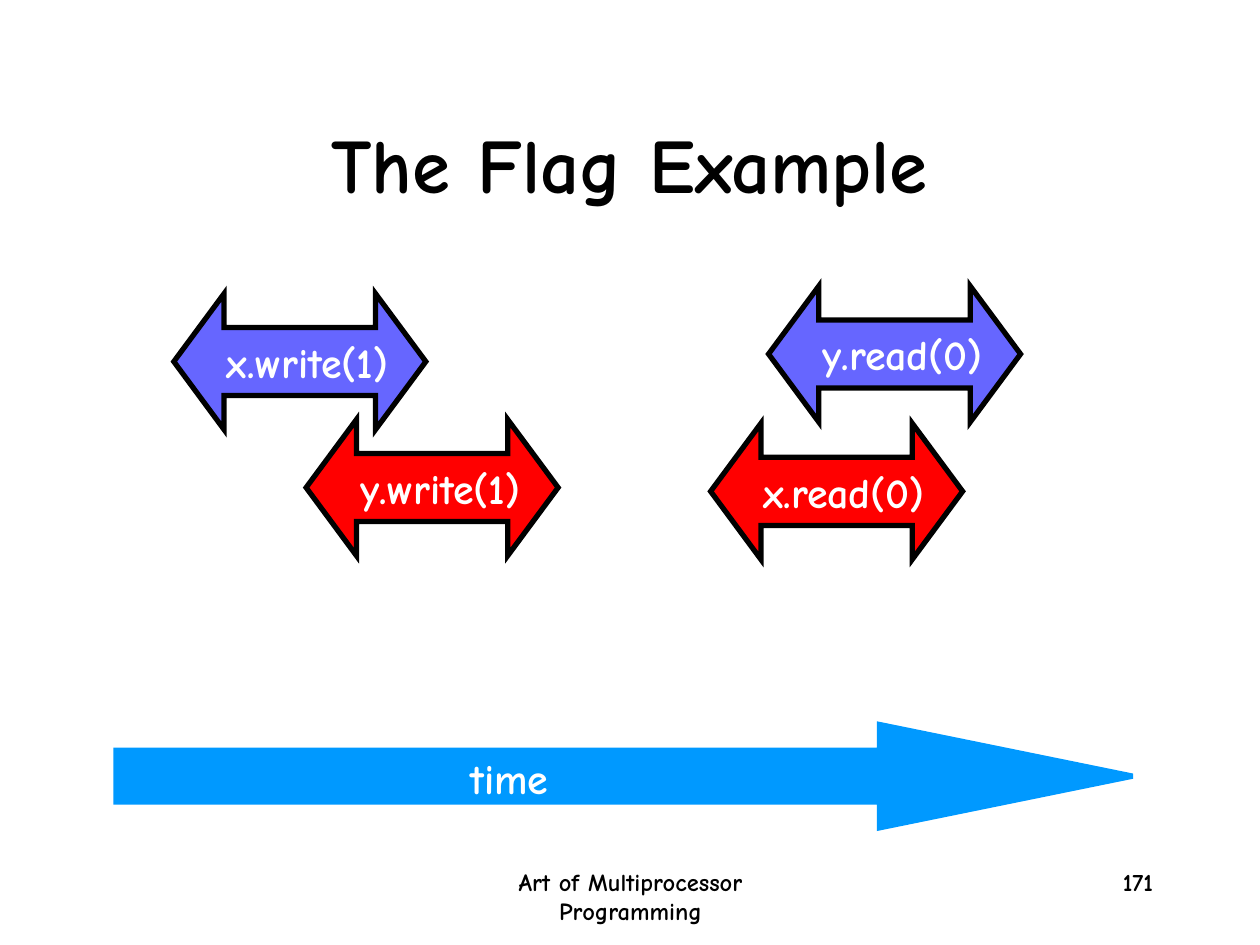
from dataclasses import dataclass

from lxml.etree import SubElement
from pptx import Presentation
from pptx.dml.color import RGBColor
from pptx.enum.shapes import MSO_SHAPE as Shape
from pptx.enum.text import MSO_ANCHOR as Anchor, PP_ALIGN as Align
from pptx.oxml.ns import qn
from pptx.util import Inches, Pt


@dataclass(frozen=True)
class Theme:
    """Colours, typeface and sizes of the slide."""
    font: str = "Comic Neue"
    ink: str = "000000"
    label: str = "FFFFFF"
    first_thread: str = "6666FF"
    second_thread: str = "FF0000"
    timeline: str = "0099FF"
    title_size: int = 44
    label_size: int = 24
    footer_size: int = 14
    outline: int = 3


THEME = Theme()


def place(part, box):
    """Move a part to a box given in inches."""
    part.left, part.top, part.width, part.height = map(Inches, box)


def write(part, text, size, color, align, anchor=Anchor.TOP, wrap=True):
    """Put one bold run of text in a part."""
    frame = part.text_frame
    frame.word_wrap = wrap
    frame.vertical_anchor = anchor
    paragraph = frame.paragraphs[0]
    paragraph.alignment = align
    run = paragraph.add_run()
    run.text = text
    run.font.name = THEME.font
    run.font.size = Pt(size)
    run.font.bold = True
    run.font.color.rgb = RGBColor.from_string(color)


def add_arrow(slide, preset, box, head, fill, outline):
    """Add a filled block arrow with sharp corners."""
    arrow = slide.shapes.add_shape(preset, *map(Inches, box))
    arrow.adjustments[0] = 0.5
    arrow.adjustments[1] = head
    arrow.shadow.inherit = False
    arrow.fill.solid()
    arrow.fill.fore_color.rgb = RGBColor.from_string(fill)
    arrow.line.color.rgb = RGBColor.from_string(outline)
    arrow.line.width = Pt(THEME.outline)
    line = arrow.element.spPr.find(qn("a:ln"))
    SubElement(line, qn("a:miter")).set("lim", "800000")
    return arrow


def add_title(slide, box):
    """Place and fill the slide title."""
    title = slide.shapes.title
    place(title, box)
    write(title, "The Flag Example", THEME.title_size, THEME.ink,
          Align.CENTER, Anchor.MIDDLE)


def add_calls(slide, box):
    """Add the method calls of both threads, offset from the box corner."""
    left, top, width, height = box
    calls = (
        ("x.write(1)", 0, 0.06, THEME.first_thread),
        ("y.read(0)", 4.72, 0, THEME.first_thread),
        ("y.write(1)", 1.05, 1.06, THEME.second_thread),
        ("x.read(0)", 4.26, 1.09, THEME.second_thread),
    )
    for name, start, drop, color in calls:
        call = add_arrow(slide, Shape.LEFT_RIGHT_ARROW,
                         (left + start, top + drop, width, height),
                         0.37, color, THEME.ink)
        write(call, name, THEME.label_size, THEME.label, Align.RIGHT,
              Anchor.MIDDLE, wrap=False)


def add_timeline(slide, box):
    """Add the time arrow and its label."""
    left, top, _, _ = box
    add_arrow(slide, Shape.RIGHT_ARROW, box, 2.45, THEME.timeline, THEME.timeline)
    add_text(slide, (left + 2.71, top + 0.17, 0.82, 0.5), "time",
             THEME.label_size, THEME.label, Align.RIGHT, wrap=False)


def add_text(slide, box, text, size, color, align, wrap=True):
    """Add a text box holding one run."""
    label = slide.shapes.add_textbox(*map(Inches, box))
    write(label, text, size, color, align, wrap=wrap)


def add_footer(slide, box):
    """Add the book name and the page number."""
    left, top, width, height = box
    add_text(slide, (left, top, 3.17, height), "Art of Multiprocessor Programming",
             THEME.footer_size, THEME.ink, Align.CENTER)
    add_text(slide, (left + width - 2.08, top, 2.08, height), "171",
             THEME.footer_size, THEME.ink, Align.RIGHT)


def main():
    """Build and save the slide."""
    deck = Presentation()
    deck.slide_width, deck.slide_height = Inches(10), Inches(7.5)
    slide = deck.slides.add_slide(deck.slide_layouts[5])
    add_footer(slide, (3.42, 6.83, 5.83, 0.5))
    add_title(slide, (0.75, 0.67, 8.5, 1.25))
    add_calls(slide, (1.38, 2.27, 2, 1.08))
    add_timeline(slide, (0.92, 5.75, 8.07, 0.82))
    deck.save("out.pptx")


if __name__ == "__main__":
    main()
